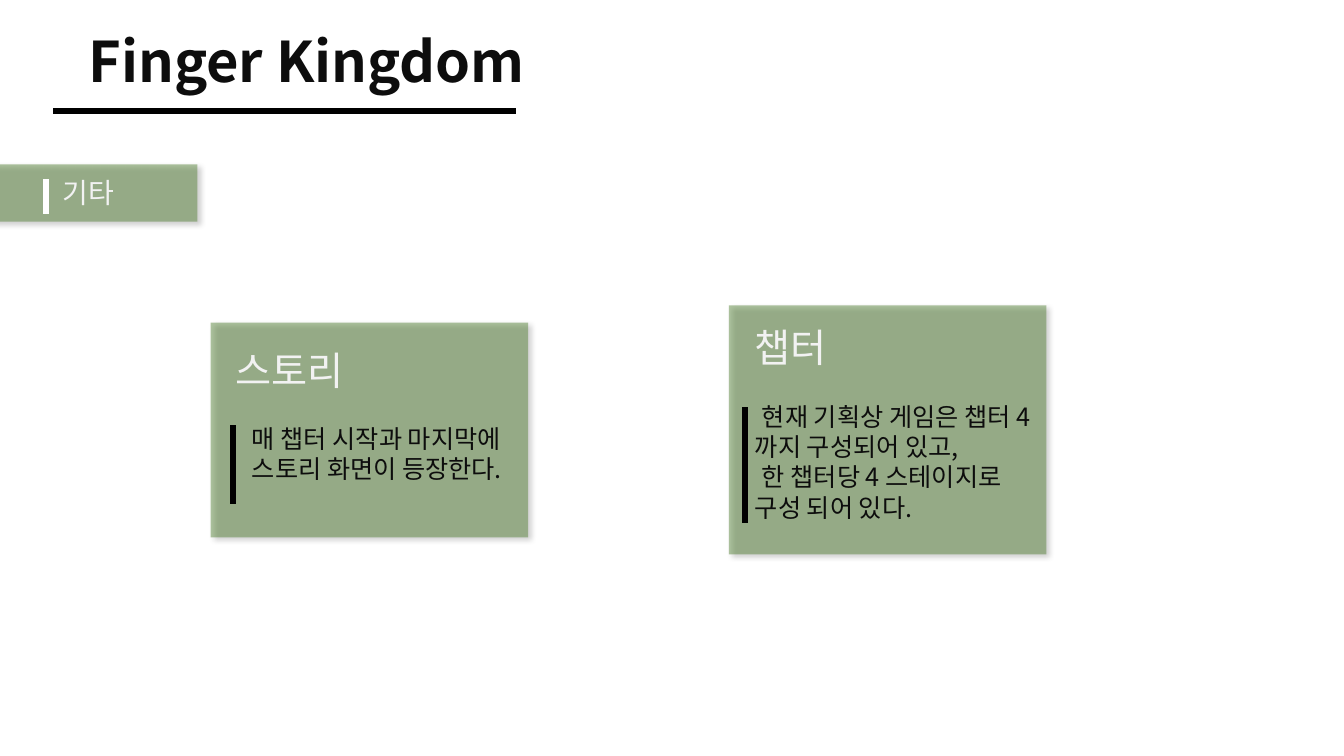
"""Build the Finger Kingdom slide with its tag and two cards."""
from dataclasses import dataclass

from lxml import etree
from pptx import Presentation
from pptx import util as u
from pptx.dml.color import RGBColor
from pptx.enum import shapes, text
from pptx.oxml.ns import qn

Pt = u.Pt


@dataclass(frozen=True)
class Theme:
    font: str = "Noto Sans CJK KR"
    ink: str = "0D0D0D"
    pale: str = "F2F2F2"
    black: str = "000000"
    white: str = "FFFFFF"
    green: str = "548235"
    clear: int = 47000
    title: int = 40
    head: int = 28
    tag: int = 20
    body: int = 18
    rule: float = 4.5


THEME = Theme()


def add_label(slide, box, lines, size, color, bold=False, indent=0):
    frame = slide.shapes.add_textbox(*map(Pt, box)).text_frame
    frame.word_wrap = True
    frame.auto_size = text.MSO_AUTO_SIZE.SHAPE_TO_FIT_TEXT
    frame.text = "\n".join(lines)
    for para in frame.paragraphs:
        if indent:
            para._p.get_or_add_pPr().set("indent", str(Pt(indent)))
        font = para.font
        font.size, font.bold = Pt(size), bold
        font.color.rgb = RGBColor.from_string(color)
        font.name = THEME.font
        etree.SubElement(font._element, qn("a:ea"), typeface=THEME.font)


def add_rule(slide, start, end, color):
    rule = slide.shapes.add_connector(
        shapes.MSO_CONNECTOR.STRAIGHT, *map(Pt, start + end))
    rule.line.width = Pt(THEME.rule)
    rule.line.color.rgb = RGBColor.from_string(color)
    etree.SubElement(rule._element.spPr, qn("a:effectLst"))


def add_panel(slide, box):
    panel = slide.shapes.add_shape(shapes.MSO_SHAPE.RECTANGLE, *map(Pt, box))
    panel.fill.solid()
    panel.fill.fore_color.rgb = RGBColor.from_string(THEME.green)
    panel.line.fill.background()
    panel.shadow.inherit = False
    props = panel._element.spPr
    tint = props.find(qn("a:solidFill"))[0]
    etree.SubElement(tint, qn("a:alpha"), val=str(THEME.clear))
    shade = etree.SubElement(
        props.find(qn("a:effectLst")), qn("a:outerShdw"), blurRad=str(Pt(4)),
        dist=str(Pt(3)), dir="2700000", algn="tl", rotWithShape="0")
    black = etree.SubElement(shade, qn("a:srgbClr"), val=THEME.black)
    etree.SubElement(black, qn("a:alpha"), val="40000")


def add_card(slide, box, head, lines, head_at, body_at, bar, indent=0):
    add_panel(slide, box)
    add_label(slide, (*head_at, 148.3, 41), [head], THEME.head, THEME.pale)
    add_label(slide, (*body_at, 214.6, 51), lines, THEME.body, THEME.ink,
              indent=indent)
    left, top, foot = bar
    add_rule(slide, (left, top), (left, foot), THEME.black)


def main():
    deck = Presentation()
    deck.slide_width, deck.slide_height = Pt(960), Pt(540)
    slide = deck.slides.add_slide(deck.slide_layouts[6])

    add_label(slide, (56.2, 15.1, 544.3, 55.4), ["Finger Kingdom"],
              THEME.title, THEME.ink, bold=True)
    add_rule(slide, (38.2, 79.2), (368.6, 79.2), THEME.black)

    add_card(slide, (520.6, 218.2, 226.8, 177.8), "챕터",
             ["현재 기획상 게임은 챕터 4까지 구성되어 있고,",
              "한 챕터당 4 스테이지로 구성 되어 있다."],
             (532.1, 227.5), (532.1, 283), (532.1, 290.9, 373.7), indent=5)
    add_card(slide, (150.5, 230.4, 226.8, 153.4), "스토리",
             ["매 챕터 시작과 마지막에", "스토리 화면이 등장한다."],
             (161.3, 244.1), (172.8, 298.8), (166.3, 303.8, 360))

    add_panel(slide, (-7.2, 117.4, 148.3, 41))
    add_label(slide, (37.4, 121.7, 148.3, 31.7), ["기타"],
              THEME.tag, THEME.pale)
    add_rule(slide, (33.1, 128.2), (33.1, 152.6), THEME.white)

    deck.save("out.pptx")


if __name__ == "__main__":
    main()
